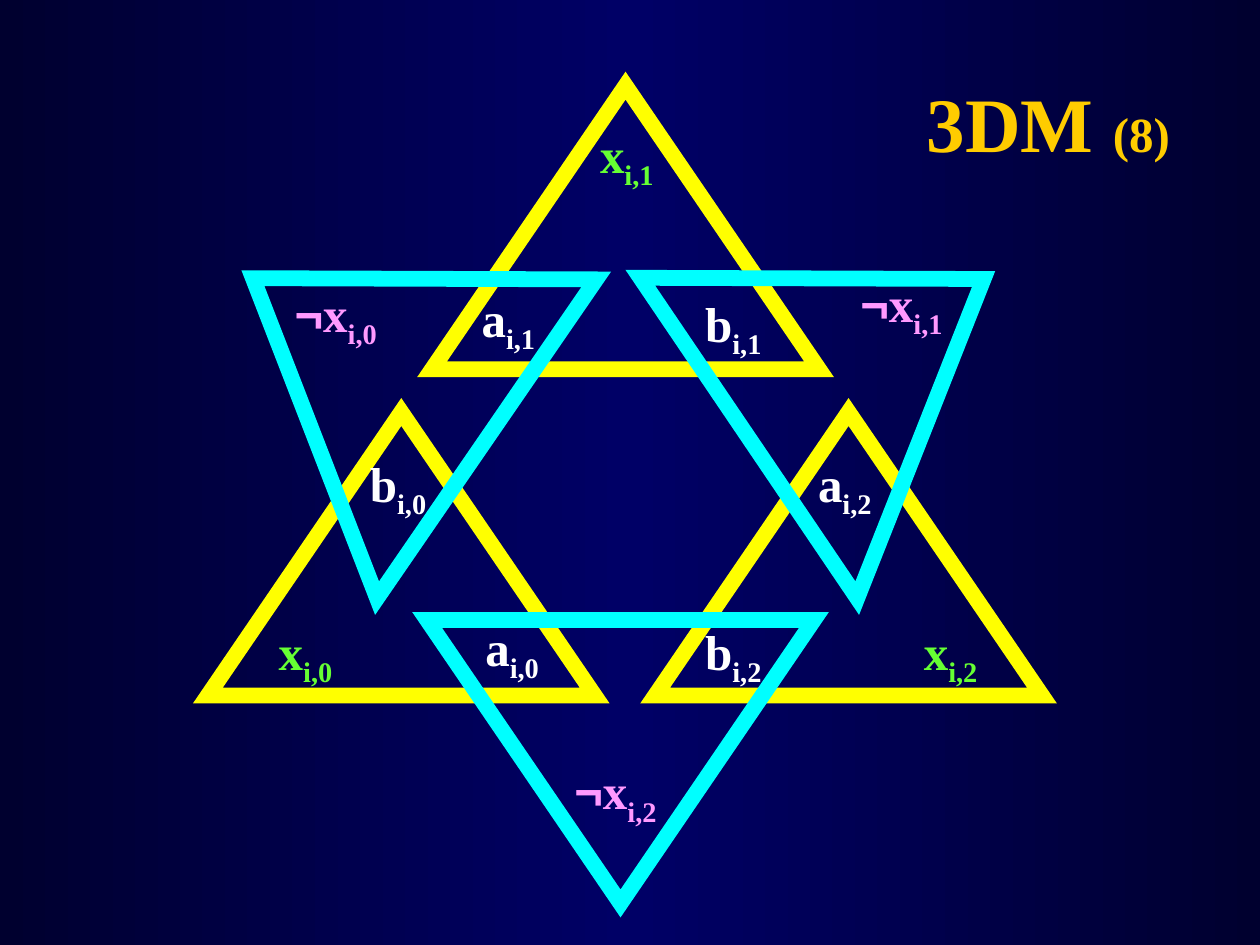
from copy import deepcopy
from typing import NamedTuple

from lxml import etree
from pptx import Presentation
from pptx.dml.color import RGBColor
from pptx.enum.shapes import MSO_SHAPE as SHAPE
from pptx.enum.text import MSO_ANCHOR as ANCHOR, PP_ALIGN as ALIGN
from pptx.oxml.ns import qn
from pptx.util import Inches, Pt

NAVY = RGBColor(0x00, 0x00, 0x2F)
BLUE = RGBColor(0x00, 0x00, 0x66)
YELLOW = RGBColor(0xFF, 0xFF, 0x00)
CYAN = RGBColor(0x00, 0xFF, 0xFF)
WHITE = RGBColor(0xFF, 0xFF, 0xFF)
GREEN = RGBColor(0x66, 0xFF, 0x33)
PINK = RGBColor(0xFF, 0x99, 0xFF)
GOLD = RGBColor(0xFF, 0xCC, 0x00)
SERIF, SANS = "Times New Roman", "Arial"
TRI_W, TRI_H = 3.07, 2.25
LABEL_H = 0.63


class Triangle(NamedTuple):
    left: float
    top: float
    color: RGBColor
    rotation: float = 0


class Label(NamedTuple):
    name: str
    index: int
    left: float
    top: float


# Width and colour of each kind of label
LABEL_STYLES = {"a": (1.37, WHITE), "b": (1.4, WHITE),
                "x": (1.37, GREEN), "¬x": (1.63, PINK)}

TRIANGLES = [
    Triangle(3.43, 0.68, YELLOW),
    Triangle(1.65, 3.27, YELLOW),
    Triangle(5.2, 3.27, YELLOW),
    Triangle(1.4, 1.72, CYAN, 304.5),
    Triangle(3.39, 4.92, CYAN, 180),
    Triangle(5.34, 1.72, CYAN, 55.9),
]

LABELS = [
    Label("a", 0, 3.38, 4.85), Label("a", 2, 6.02, 3.55), Label("a", 1, 3.35, 2.24),
    Label("b", 0, 2.46, 3.55), Label("b", 1, 5.12, 2.28), Label("b", 2, 5.12, 4.88),
    Label("x", 0, 1.74, 4.88), Label("x", 1, 4.29, 0.94), Label("x", 2, 6.86, 4.88),
    Label("¬x", 0, 1.85, 2.2), Label("¬x", 1, 6.34, 2.12), Label("¬x", 2, 4.07, 5.99),
]


def set_background(s) -> None:
    fill = s.background.fill
    fill.gradient()
    fill.gradient_angle = 0
    stops = fill._fill._gradFill.gsLst
    stops.append(deepcopy(stops[-1]))
    for stop, position, color in zip(fill.gradient_stops, (0, 0.5, 1), (NAVY, BLUE, NAVY)):
        stop.position = position
        stop.color.rgb = color


def add_triangle(s, tri: Triangle) -> None:
    sp = s.shapes.add_shape(SHAPE.ISOSCELES_TRIANGLE, Inches(tri.left), Inches(tri.top),
                            Inches(TRI_W), Inches(TRI_H))
    sp.rotation = tri.rotation
    sp.shadow.inherit = False
    sp.fill.background()
    sp.line.color.rgb = tri.color
    sp.line.width = Pt(9)
    # Sharp corners
    etree.SubElement(sp.line._get_or_add_ln(), qn("a:miter"), lim="800000")


def add_centered_box(s, left: float, top: float, width: float, height: float):
    sp = s.shapes.add_textbox(Inches(left), Inches(top), Inches(width), Inches(height))
    p = sp.text_frame.paragraphs[0]
    p.alignment = ALIGN.CENTER
    return sp.text_frame, p


def add_run(p, text: str, color: RGBColor, size: int = 28, font: str = SERIF,
            subscript: bool = False) -> None:
    r = p.add_run()
    r.text = text
    r.font.name = font
    r.font.size = Pt(size)
    r.font.bold = True
    r.font.color.rgb = color
    if subscript:
        r._r.get_or_add_rPr().set("baseline", "-25000")


def add_label(s, label: Label) -> None:
    width, color = LABEL_STYLES[label.name]
    tf, p = add_centered_box(s, label.left, label.top, width, LABEL_H)
    tf.word_wrap = False
    p.space_before = Pt(7)
    for char in label.name:
        add_run(p, char, color, font=SANS if char == "¬" else SERIF)
    add_run(p, f"i,{label.index}", color, subscript=True)


def add_title(s) -> None:
    tf, p = add_centered_box(s, 6.89, 0.55, 2.86, 0.83)
    tf.word_wrap = True
    tf.vertical_anchor = ANCHOR.MIDDLE
    add_run(p, "3DM ", GOLD, size=44)
    add_run(p, "(8)", GOLD)


def main() -> None:
    prs = Presentation()
    prs.slide_width, prs.slide_height = Inches(10), Inches(7.5)
    s = prs.slides.add_slide(prs.slide_layouts[6])
    set_background(s)
    for tri in TRIANGLES:
        add_triangle(s, tri)
    for label in LABELS:
        add_label(s, label)
    add_title(s)
    prs.save("out.pptx")


if __name__ == "__main__":
    main()
